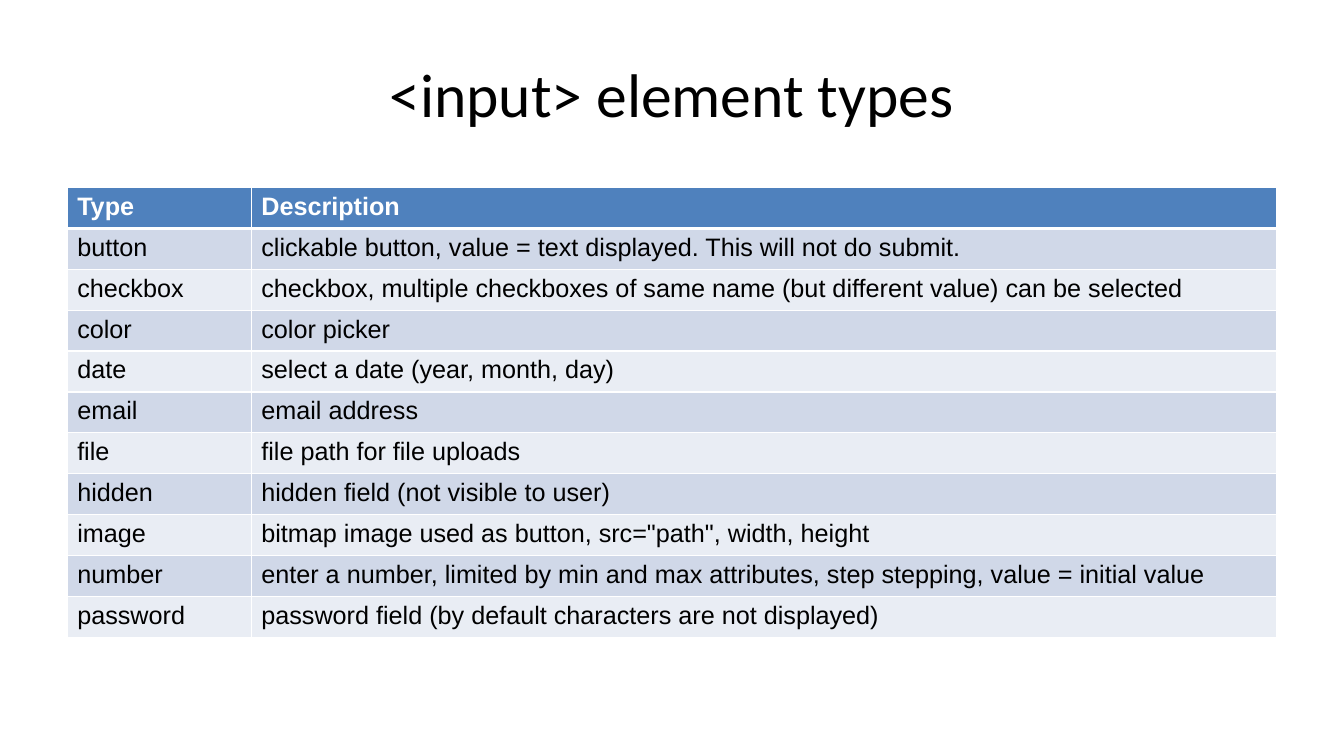
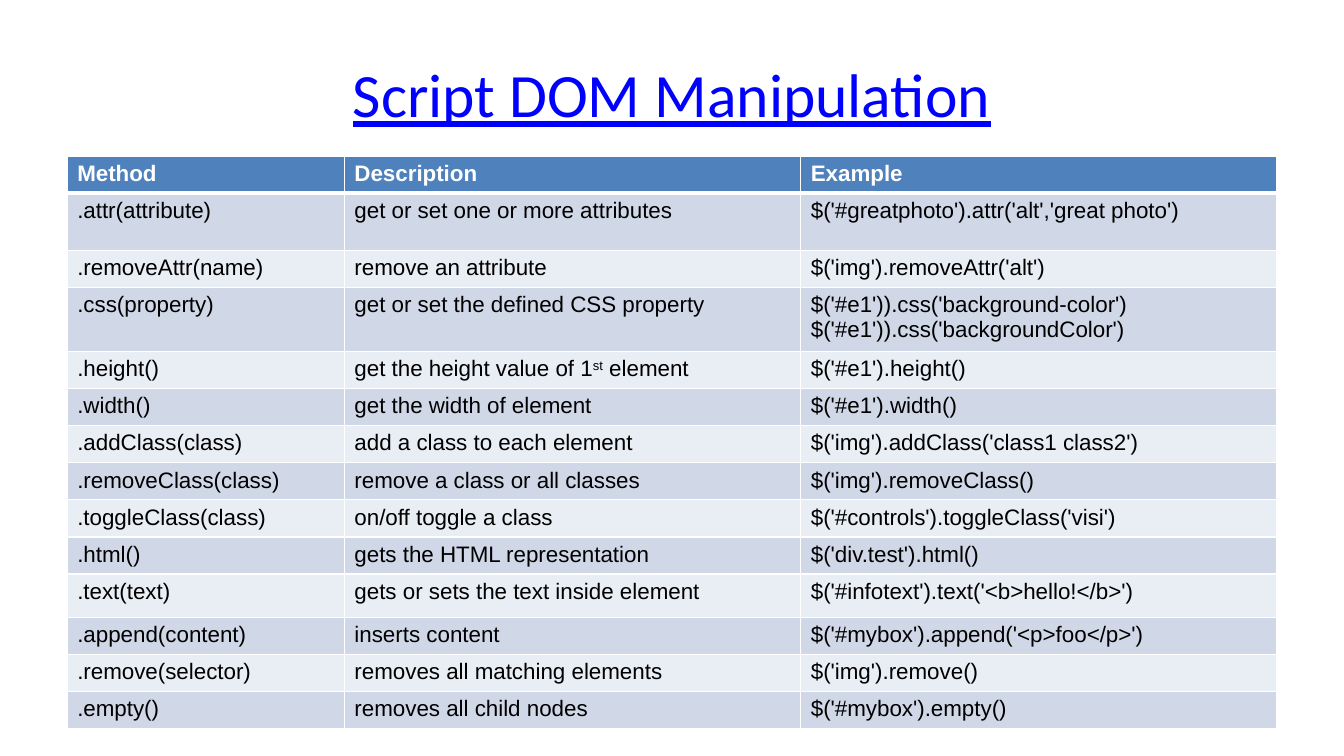
from dataclasses import dataclass

import lxml.etree
import pptx
import pptx.dml.color
import pptx.enum.text
import pptx.oxml.ns
import pptx.util

Pt = pptx.util.Pt
qn = pptx.oxml.ns.qn

WIDE, HIGH = 960, 540
LEFT, SPAN = 48, 864
WHITE, BLACK, BLUE = "FFFFFF", "000000", "0000FF"
HEAD = "4F81BD"
BANDS = ("E9EDF4", "D0D8E8")
THIN, THICK = 1, 3


@dataclass(frozen=True)
class Title:
    text: str
    color: str = BLACK
    under: bool = False


@dataclass(frozen=True)
class Grid:
    top: float
    size: float
    cols: tuple[float, ...]
    row: float
    tall: dict[int, float]
    cells: tuple[tuple[str, ...], ...]


@dataclass(frozen=True)
class Page:
    title: Title
    grid: Grid


INPUTS = Page(
    Title("<input> element types"),
    Grid(134, 18, (131.5, 732.5), 29.2, {}, (
        ("Type", "Description"),
        ("button", "clickable button, value = text displayed. This will not do submit."),
        ("checkbox", "checkbox, multiple checkboxes of same name (but different value) can be selected"),
        ("color", "color picker"),
        ("date", "select a date (year, month, day)"),
        ("email", "email address"),
        ("file", "file path for file uploads"),
        ("hidden", "hidden field (not visible to user)"),
        ("image", "bitmap image used as button, src=\"path\", width, height"),
        ("number", "enter a number, limited by min and max attributes, step stepping, value = initial value"),
        ("password", "password field (by default characters are not displayed)"),
    )),
)

METHODS = Page(
    Title("Script DOM Manipulation", BLUE, True),
    Grid(111.6, 16, (198, 326, 340), 26.5, {1: 41, 3: 45.5, 10: 31}, (
        ("Method", "Description", "Example"),
        (".attr(attribute)", "get or set one or more attributes", "$('#greatphoto').attr('alt','great photo')"),
        (".removeAttr(name)", "remove an attribute", "$('img').removeAttr('alt')"),
        (".css(property)", "get or set the defined CSS property",
         "$('#e1')).css('background-color')\n$('#e1')).css('backgroundColor')"),
        (".height()", "get the height value of 1^st^ element", "$('#e1').height()"),
        (".width()", "get the width of element", "$('#e1').width()"),
        (".addClass(class)", "add a class to each element", "$('img').addClass('class1 class2')"),
        (".removeClass(class)", "remove a class or all classes", "$('img').removeClass()"),
        (".toggleClass(class)", "on/off toggle a class", "$('#controls').toggleClass('visi')"),
        (".html()", "gets the HTML representation", "$('div.test').html()"),
        (".text(text)", "gets or sets the text inside element", "$('#infotext').text('<b>hello!</b>')"),
        (".append(content)", "inserts content", "$('#mybox').append('<p>foo</p>')"),
        (".remove(selector)", "removes all matching elements", "$('img').remove()"),
        (".empty()", "removes all child nodes", "$('#mybox').empty()"),
    )),
)


def paint(fmt, color: str) -> None:
    fmt.solid()
    fmt.fore_color.rgb = pptx.dml.color.RGBColor.from_string(color)


def style(para, name: str, size: float, color: str, bold: bool = False) -> None:
    font = para.font
    font.name = name
    font.size = Pt(size)
    font.bold = bold
    paint(font.fill, color)


def write(para, text: str) -> None:
    first, *rest = text.split("^")
    para.text = first
    for index, part in enumerate(rest):
        run = para.add_run()
        run.text = part
        if index % 2 == 0:
            run._r.get_or_add_rPr().set("baseline", "30000")


def edge(cell, side: str, width: float) -> None:
    line = lxml.etree.SubElement(cell._tc.get_or_add_tcPr(), qn(f"a:ln{side}"), w=str(Pt(width)))
    fill = lxml.etree.SubElement(line, qn("a:solidFill"))
    lxml.etree.SubElement(fill, qn("a:srgbClr"), val=WHITE)


def draw_title(slide, title: Title) -> None:
    box = slide.shapes.add_textbox(Pt(LEFT), Pt(21.6), Pt(SPAN), Pt(90))
    frame = box.text_frame
    frame.word_wrap = True
    frame.vertical_anchor = pptx.enum.text.MSO_ANCHOR.MIDDLE
    para = frame.paragraphs[0]
    para.text = title.text
    para.alignment = pptx.enum.text.PP_ALIGN.CENTER
    style(para, "Calibri", 44, title.color)
    para.font.underline = title.under


def draw_cell(cell, text: str, row: int, size: float) -> None:
    head = row == 0
    edge(cell, "L", THIN)
    edge(cell, "R", THIN)
    edge(cell, "T", THICK if row == 1 else THIN)
    edge(cell, "B", THICK if head else THIN)
    paint(cell.fill, HEAD if head else BANDS[row % 2])
    para = cell.text_frame.paragraphs[0]
    write(para, text)
    style(para, "Arial", size, WHITE if head else BLACK, head)


def draw_grid(slide, grid: Grid) -> None:
    highs = [grid.tall.get(row, grid.row) for row in range(len(grid.cells))]
    shape = slide.shapes.add_table(
        len(highs), len(grid.cols), Pt(LEFT), Pt(grid.top), Pt(SPAN), Pt(sum(highs)))
    table = shape.table
    table.first_row = table.horz_banding = False
    for col, width in zip(table.columns, grid.cols):
        col.width = Pt(width)
    for row, (high, texts) in enumerate(zip(highs, grid.cells)):
        table.rows[row].height = Pt(high)
        for col, text in enumerate(texts):
            draw_cell(table.cell(row, col), text, row, grid.size)


def main() -> None:
    deck = pptx.Presentation()
    deck.slide_width, deck.slide_height = Pt(WIDE), Pt(HIGH)
    for page in (INPUTS, METHODS):
        slide = deck.slides.add_slide(deck.slide_layouts[6])
        paint(slide.background.fill, WHITE)
        draw_title(slide, page.title)
        draw_grid(slide, page.grid)
    deck.save("out.pptx")


if __name__ == "__main__":
    main()
